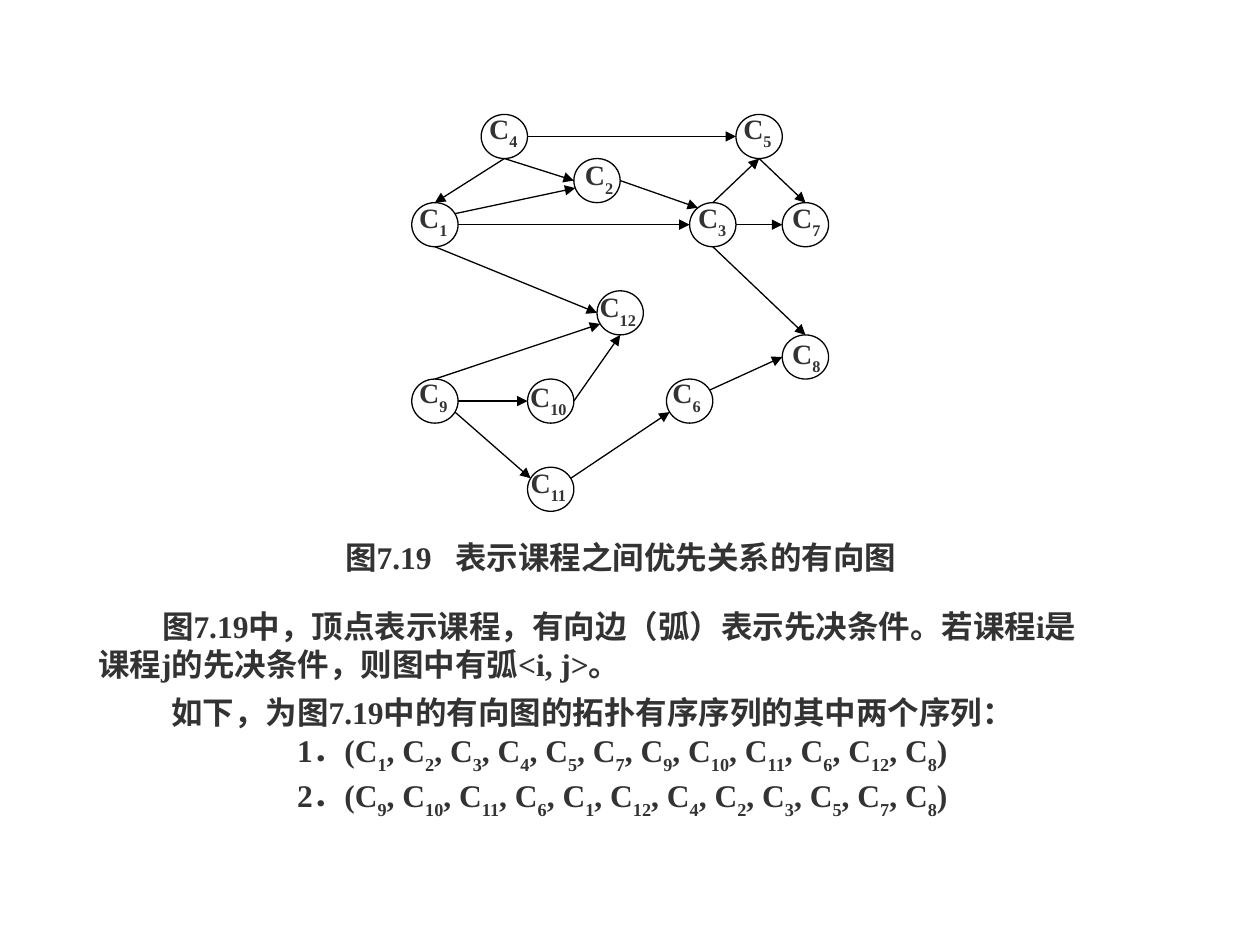
import math

import lxml.etree
import pptx
import pptx.dml.color
import pptx.enum.shapes
import pptx.enum.text
import pptx.oxml.ns
import pptx.util

Pt = pptx.util.Pt
qn = pptx.oxml.ns.qn

COLORS = {"text": "333333", "line": "000000", "node": "FFFFFF"}
FONT = "Times New Roman"

COURSES = {
    4: (3, 0, -0.7, -3.2),
    5: (14, 0, -1, -3.2),
    2: (7, 1, 1.1, -1.8),
    1: (0, 2, -1, -2.5),
    3: (12, 2, -0.4, -2.5),
    7: (16, 2, 0.4, -2.5),
    12: (8, 4, -1.4, -1.8),
    8: (16, 5, 0.4, -0.4),
    9: (0, 6, -1, -3.2),
    10: (5, 6, -1.4, -1.1),
    6: (11, 6, -1.8, -3.2),
    11: (5, 8, -1.4, -2.5),
}
ARCS = [
    (4, 0, 5, 180), (4, 90, 2, 180), (4, 90, 1, 270),
    (1, -30, 2, 160), (1, 0, 3, 180), (1, 90, 12, 180),
    (2, 0, 3, 230), (3, 270, 5, 90), (3, 0, 7, 180),
    (3, 90, 8, 270), (5, 90, 7, 270), (9, 270, 12, 150),
    (9, 0, 10, 180), (9, 30, 11, 210), (10, 0, 12, 90),
    (11, -30, 6, 150), (6, -30, 8, 180),
]
SEQUENCES = [
    [1, 2, 3, 4, 5, 7, 9, 10, 11, 6, 12, 8],
    [9, 10, 11, 6, 1, 12, 4, 2, 3, 5, 7, 8],
]


def rgb(name):
    return pptx.dml.color.RGBColor.from_string(COLORS[name])


def add_run(p, text, size=18, sub=False):
    r = p.add_run()
    r.text = text
    r.font.name = FONT
    r.font.size = Pt(size)
    r.font.bold = True
    r.font.color.rgb = rgb("text")
    if sub:
        r.font._element.set("baseline", "-30000")


def add_text_box(shapes, x, y, w, h, centered=False):
    tf = shapes.add_textbox(Pt(x), Pt(y), Pt(w), Pt(h)).text_frame
    tf.word_wrap = False
    tf.auto_size = pptx.enum.text.MSO_AUTO_SIZE.SHAPE_TO_FIT_TEXT
    tf.vertical_anchor = pptx.enum.text.MSO_ANCHOR.MIDDLE
    if centered:
        tf.margin_left = tf.margin_right = Pt(0)
        tf.paragraphs[0].alignment = pptx.enum.text.PP_ALIGN.CENTER
    return tf


def add_node(shapes, cx, cy, w, h):
    sp = shapes.add_shape(pptx.enum.shapes.MSO_SHAPE.OVAL,
                          Pt(cx - w / 2), Pt(cy - h / 2), Pt(w), Pt(h))
    sp.shadow.inherit = False
    sp.fill.solid()
    sp.fill.fore_color.rgb = rgb("node")
    sp.line.color.rgb = rgb("line")
    sp.line.width = Pt(0.75)


def add_arc(shapes, start, end):
    c = shapes.add_connector(pptx.enum.shapes.MSO_CONNECTOR.STRAIGHT,
                             *(Pt(v) for v in start + end))
    c.line.color.rgb = rgb("line")
    c.line.width = Pt(0.75)
    lxml.etree.SubElement(c.line._get_or_add_ln(), qn("a:tailEnd"), type="triangle")
    lxml.etree.SubElement(c._element.spPr, qn("a:effectLst"))


def add_label(shapes, course, cx, cy):
    w, h = (30.2 if course < 10 else 35.2), 30.2
    p = add_text_box(shapes, cx - w / 2, cy - h / 2, w, h, centered=True).paragraphs[0]
    add_run(p, "C", 16)
    add_run(p, str(course), 16, sub=True)


def add_graph(s, x, y, w, h):
    shapes = s.shapes.add_group_shape().shapes
    col, row = w / 18, h / 9
    centers = {n: (x + (c + 1) * col, y + (r + 0.5) * row)
               for n, (c, r, _, _) in COURSES.items()}

    def rim(course, angle):
        cx, cy = centers[course]
        a = math.radians(angle)
        return cx + col * math.cos(a), cy + row / 2 * math.sin(a)

    for cx, cy in centers.values():
        add_node(shapes, cx, cy, 2 * col, row)
    for tail, a, head, b in ARCS:
        add_arc(shapes, rim(tail, a), rim(head, b))
    for n, (cx, cy) in centers.items():
        _, _, dx, dy = COURSES[n]
        add_label(shapes, n, cx + dx, cy + dy)


def add_caption(s, x, y, w, h):
    p = add_text_box(s.shapes, x, y, w, h, centered=True).paragraphs[0]
    add_run(p, "图7.19")
    add_run(p, "　", 13.5)
    add_run(p, "表示课程之间优先关系的有向图")


def add_explanation(s, x, y, w, h):
    tf = add_text_box(s.shapes, x, y, w, h)
    p = tf.paragraphs[0]
    p._p.get_or_add_pPr().set("indent", str(Pt(36.5)))
    add_run(p, "图7.19中，顶点表示课程，有向边（弧）表示先决条件。若课程i是")
    add_run(tf.add_paragraph(), "课程j的先决条件，则图中有弧<i, j>。")


def add_sequences(s, x, y, w, h):
    tf = add_text_box(s.shapes, x, y, w, h)
    add_run(tf.paragraphs[0], "如下，为图7.19中的有向图的拓扑有序序列的其中两个序列：")
    for i, courses in enumerate(SEQUENCES, 1):
        p = tf.add_paragraph()
        p._p.get_or_add_pPr().set("marL", str(Pt(72)))
        lead = f"{i}．(C"
        for n in courses:
            add_run(p, lead)
            add_run(p, str(n), sub=True)
            lead = ", C"
        add_run(p, ")")


def main():
    prs = pptx.Presentation()
    prs.slide_width, prs.slide_height = Pt(720), Pt(540)
    s = prs.slides.add_slide(prs.slide_layouts[6])
    add_graph(s, 235.3, 65.4, 238.2, 226.8)
    add_caption(s, 185.8, 303.8, 337.7, 28.8)
    add_explanation(s, 49, 343.4, 590.4, 50.4)
    add_sequences(s, 90.7, 392.4, 504, 79.9)
    prs.save("out.pptx")


if __name__ == "__main__":
    main()
